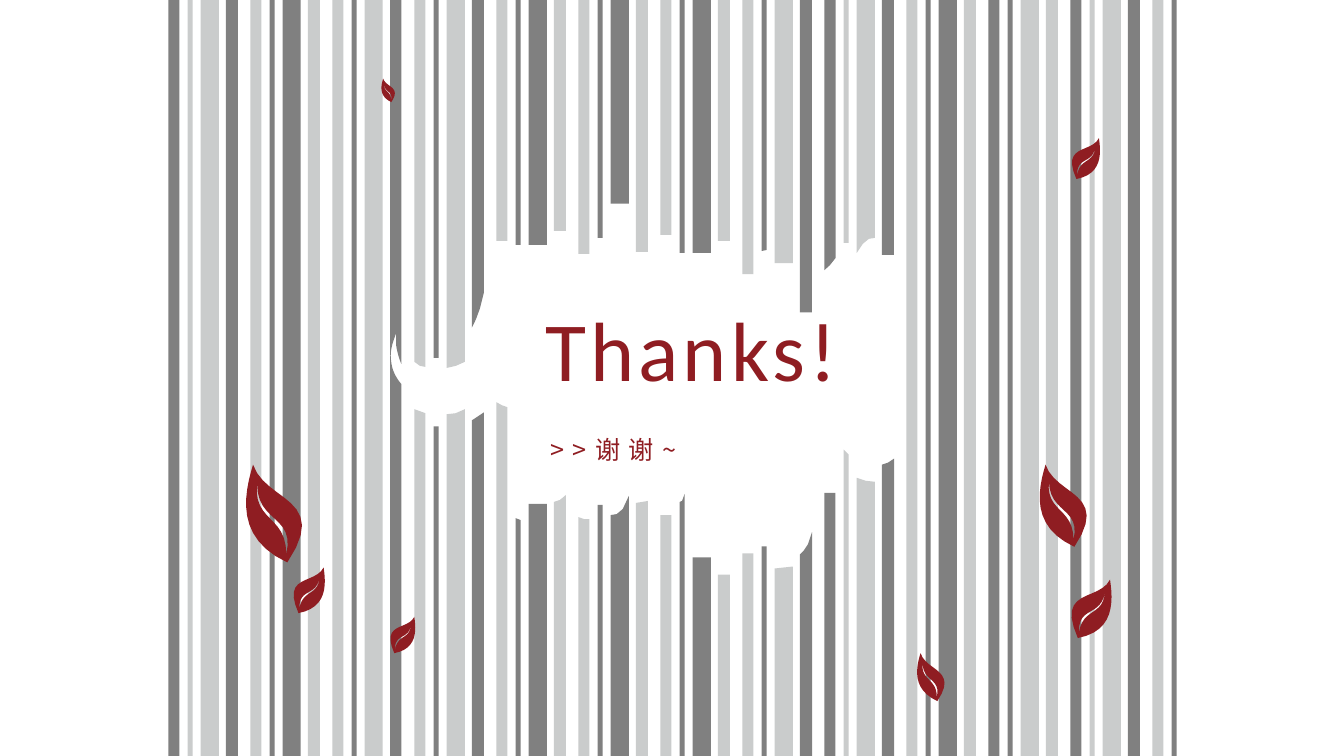
from dataclasses import dataclass

import pptx
import pptx.dml.color
import pptx.enum.shapes
import pptx.enum.text
import pptx.oxml.ns
import pptx.util
from lxml import etree

Inches = pptx.util.Inches
Point = tuple[float, float]
Edge = tuple[float, ...]

COLORS = {"D": "808080", "L": "CACCCC", "red": "8F1D22"}
HEIGHT = 7.5


@dataclass
class Tear:
    """Heights of a torn bar's two edges, evenly spaced from left to right."""
    upper: Edge
    lower: Edge


@dataclass
class Leaf:
    outline: list[list[Point]]
    x: float
    y: float
    scale: float


@dataclass
class Label:
    text: str
    x: float
    y: float
    width: float
    height: float
    size: int
    font: str
    spacing: int


# Barcode: four bars per group, one letter of tone for each
GROUP_LEFT, GROUP_STEP = 1.67, 9.76 / 12
BARS = [(0, 0.11), (0.19, 0.05), (0.32, 0.18), (0.57, 0.12)]
TONES = ["DLLD", "LDDL", "LDLD", "LDLD", "LDDL", "LDDL", "LDDL",
         "LDLD", "DLLD", "LDDL", "DDLL", "DLLD", "LD"]
NOTCHED = (2, 3)

# Torn bars fill groups 3 to 8
FIRST_TORN = 3
TEARS = [
    Tear((3.59, 3.63, 3.64), (4.06, 4.08, 4.1)),
    Tear((3.55,), (4.23,)),
    Tear((3.65, 3.63, 3.59), (4.11, 4.1, 4.06)),
    Tear((3.25, 3.17, 3.06, 2.9), (4.17, 4.09)),
    Tear((2.39,), (3.99, 4.02, 4.04)),
    Tear((2.43,), (5.14, 5.16)),
    Tear((2.43,), (5,)),
    Tear((2.29,), (4.98, 4.96, 4.91)),
    Tear((2.52,), (5.13, 5.15, 5.15)),
    Tear((2.36,), (5.01,)),
    Tear((2.02,), (5.11, 5.1, 5.05, 4.92)),
    Tear((2.5,), (4.99, 4.97)),
    Tear((2.33,), (5.11,)),
    Tear((2.51,), (4.98, 4.97, 4.9)),
    Tear((2.51,), (5.53,)),
    Tear((2.39,), (5.7,)),
    Tear((2.72,), (5.49,)),
    Tear((2.49, 2.48), (5.42,)),
    Tear((2.61,), (5.64, 5.62)),
    Tear((3.1,), (5.5, 5.46, 5.4, 5.28)),
    Tear((2.68, 2.63, 2.56), (4.89,)),
    Tear((2.41,), (4.46, 4.51)),
    Tear((2.51, 2.42, 2.37, 2.36), (4.74, 4.77, 4.78)),
    Tear((2.53,), (4.61, 4.59, 4.55)),
]

# Leaf outline and vein, measured from the tip; each curve takes three points
RIGHT_LEAF = [
    [(0, 0), (-0.11, 0.22), (-0.54, 0.08), (-0.32, 0.58),
     (0.05, 0.51), (0.03, 0.21), (0, 0)],
    [(-0.05, 0.11), (-0.06, 0.37), (-0.27, 0.27), (-0.31, 0.53),
     (-0.32, 0.25), (-0.08, 0.38), (-0.05, 0.11)],
]
LEFT_LEAF = [
    [(0, 0), (-0.09, 0.3), (-0.18, 0.73), (0.34, 0.97),
     (0.77, 0.33), (0.12, 0.37), (0, 0)],
    [(0.33, 0.89), (0.33, 0.5), (0, 0.57), (0.04, 0.19),
     (0.04, 0.58), (0.42, 0.5), (0.33, 0.89)],
]
LEAVES = [
    Leaf(RIGHT_LEAF, 11.01, 5.75, 1),
    Leaf(RIGHT_LEAF, 10.9, 1.37, 0.7),
    Leaf(RIGHT_LEAF, 4.11, 6.12, 0.62),
    Leaf(RIGHT_LEAF, 3.21, 5.63, 0.78),
    Leaf(LEFT_LEAF, 2.51, 4.61, 1),
    Leaf(LEFT_LEAF, 3.8, 0.78, 0.24),
    Leaf(LEFT_LEAF, 10.37, 4.61, 0.84),
    Leaf(LEFT_LEAF, 9.13, 6.48, 0.49),
]
LABELS = [
    Label("Thanks!", 5.31, 2.9, 3.17, 1.11, 60, "Calibri", 3),
    Label(">>谢谢~", 5.36, 4.26, 1.69, 0.4, 18, "Noto Sans CJK SC", 6),
]


def paint(s, color: str) -> None:
    s.shadow.inherit = False
    s.fill.solid()
    s.fill.fore_color.rgb = pptx.dml.color.RGBColor.from_string(COLORS[color])
    s.line.fill.background()


def curve(points: list[Point], steps: int = 12) -> list[Point]:
    """Sample a chain of cubic curves."""
    result = [points[0]]
    for i in range(0, len(points) - 1, 3):
        a, b, c, d = points[i:i + 4]
        for n in range(1, steps + 1):
            t = n / steps
            weights = ((1 - t) ** 3, 3 * t * (1 - t) ** 2, 3 * t * t * (1 - t), t ** 3)
            x, y = (sum(w * v for w, v in zip(weights, axis)) for axis in zip(a, b, c, d))
            result.append((x, y))
    return result


def draw_outline(shapes, contours: list[list[Point]], color: str) -> None:
    scaled = [[(Inches(x), Inches(y)) for x, y in contour] for contour in contours]
    builder = shapes.build_freeform(*scaled[0][0], scale=1.0)
    for i, contour in enumerate(scaled):
        if i:
            builder.move_to(*contour[0])
        builder.add_line_segments(contour[1:], close=True)
    paint(builder.convert_to_shape(), color)


def draw_bar(shapes, x: float, width: float, end: float, edge: Edge, color: str) -> None:
    """Draw a bar from a slide side (end) to a straight or torn edge."""
    if len(edge) == 1:
        s = shapes.add_shape(pptx.enum.shapes.MSO_SHAPE.RECTANGLE, Inches(x), Inches(min(end, edge[0])),
                             Inches(width), Inches(abs(edge[0] - end)))
        paint(s, color)
    else:
        torn = [(x + width * i / (len(edge) - 1), y) for i, y in enumerate(edge)]
        draw_outline(shapes, [[(x, end), *torn, (x + width, end)]], color)


def draw_notched_bar(shapes, color: str) -> None:
    left, right = 3.87, 3.98
    hook = curve([(right, 3.81), (3.93, 3.75), (3.89, 3.68), (3.88, 3.59),
                  (3.86, 3.46), (3.91, 3.37), (3.93, 3.3)])
    inner = curve([(3.93, 3.43), (3.94, 3.5), (3.96, 3.56), (right, 3.61)])
    draw_outline(shapes, [[(left, 0), (left, HEIGHT), (right, HEIGHT),
                           *hook, *inner, (right, 0)]], color)


def draw_leaf(shapes, leaf: Leaf) -> None:
    contours = [[(leaf.x + x * leaf.scale, leaf.y + y * leaf.scale) for x, y in curve(part)]
                for part in leaf.outline]
    draw_outline(shapes, contours, "red")


def draw_label(shapes, label: Label) -> None:
    tf = shapes.add_textbox(*map(Inches, (label.x, label.y, label.width, label.height))).text_frame
    tf.word_wrap = False
    tf.auto_size = pptx.enum.text.MSO_AUTO_SIZE.SHAPE_TO_FIT_TEXT
    p = tf.paragraphs[0]
    p.text = label.text
    p.font.size = pptx.util.Pt(label.size)
    p.font.name = label.font
    p.font.color.rgb = pptx.dml.color.RGBColor.from_string(COLORS["red"])
    props = p._p.find(".//" + pptx.oxml.ns.qn("a:defRPr"))
    props.set("spc", str(label.spacing * 100))
    etree.SubElement(props, pptx.oxml.ns.qn("a:ea"), typeface=label.font)


def main() -> None:
    prs = pptx.Presentation()
    prs.slide_width, prs.slide_height = Inches(13.33), Inches(HEIGHT)
    shapes = prs.slides.add_slide(prs.slide_layouts[6]).shapes

    # Barcode
    tears = iter(TEARS)
    last_torn = FIRST_TORN + len(TEARS) // len(BARS) - 1
    for group, tones in enumerate(TONES):
        for i, (tone, (offset, width)) in enumerate(zip(tones, BARS)):
            x = GROUP_LEFT + group * GROUP_STEP + offset
            if (group, i) == NOTCHED:
                draw_notched_bar(shapes, tone)
            elif FIRST_TORN <= group <= last_torn:
                tear = next(tears)
                draw_bar(shapes, x, width, 0, tear.upper, tone)
                draw_bar(shapes, x, width, HEIGHT, tear.lower, tone)
            else:
                draw_bar(shapes, x, width, 0, (HEIGHT,), tone)

    # Leaves and words
    for leaf in LEAVES:
        draw_leaf(shapes, leaf)
    for label in LABELS:
        draw_label(shapes, label)
    prs.save("out.pptx")


if __name__ == "__main__":
    main()
